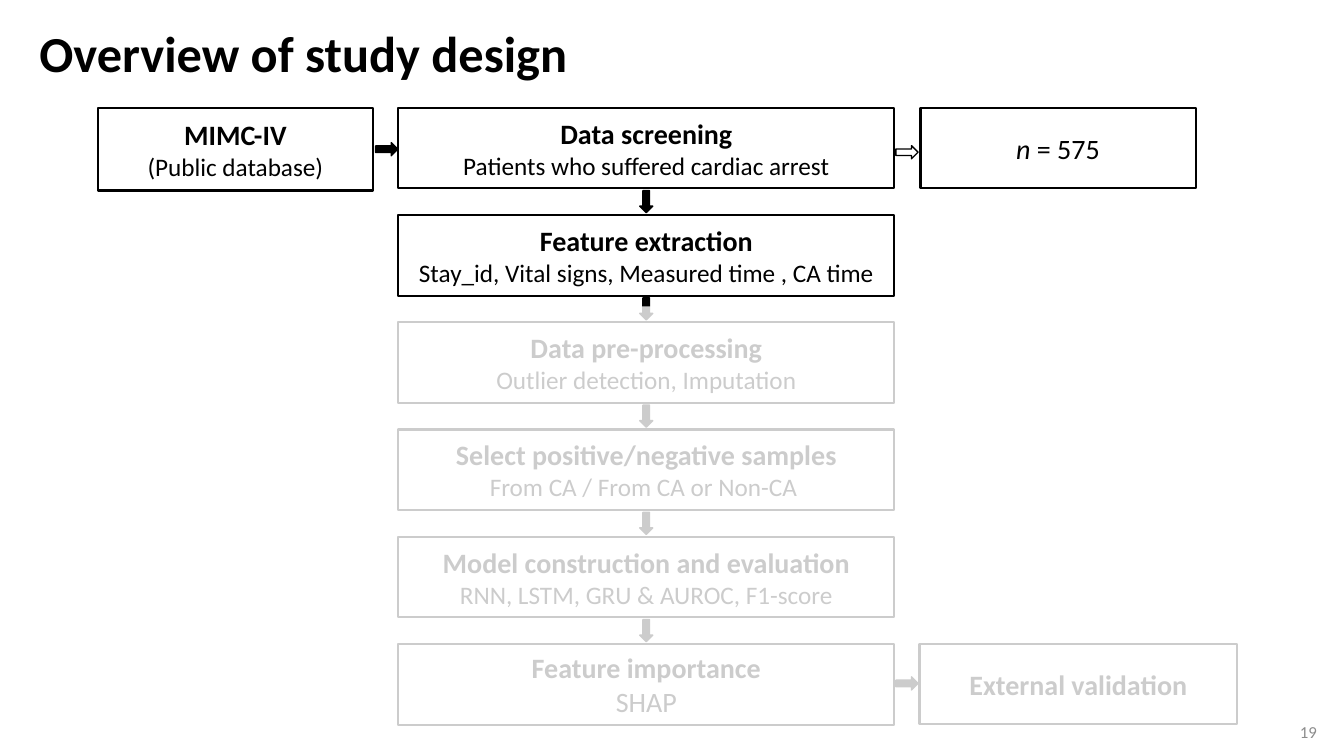
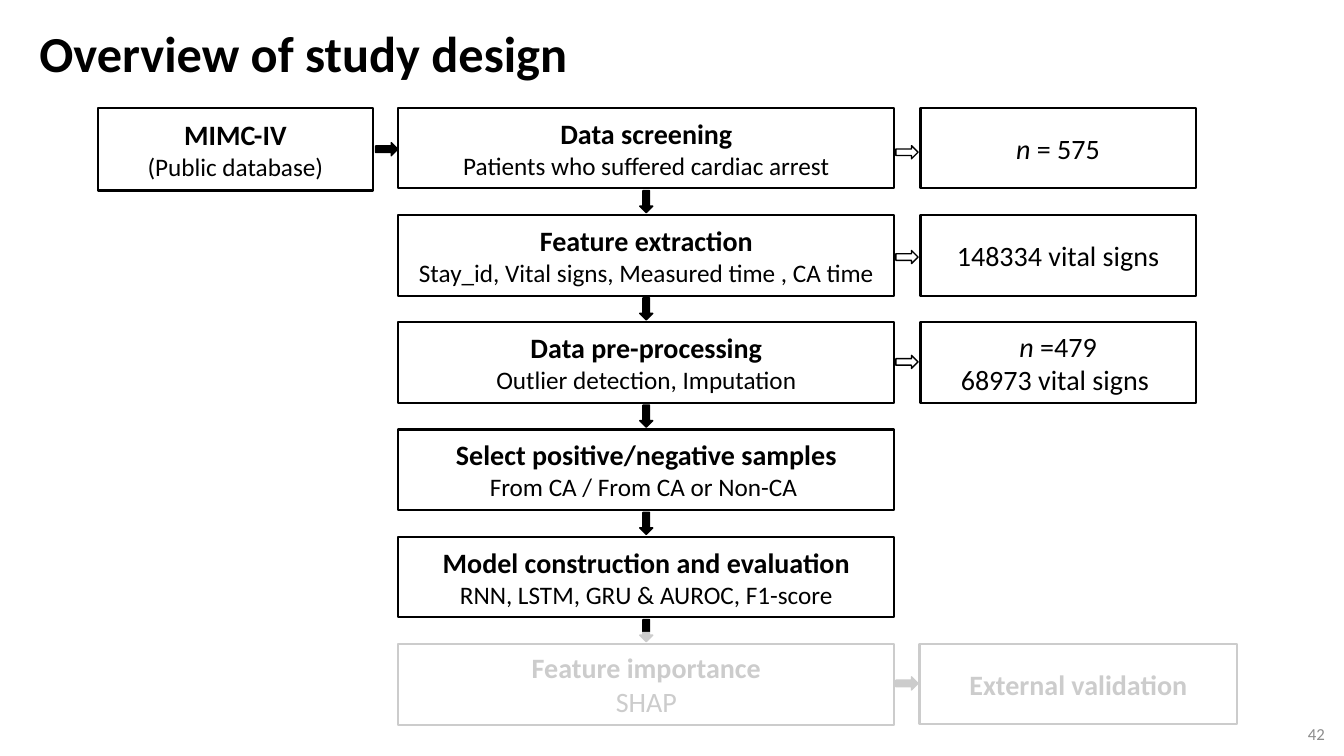
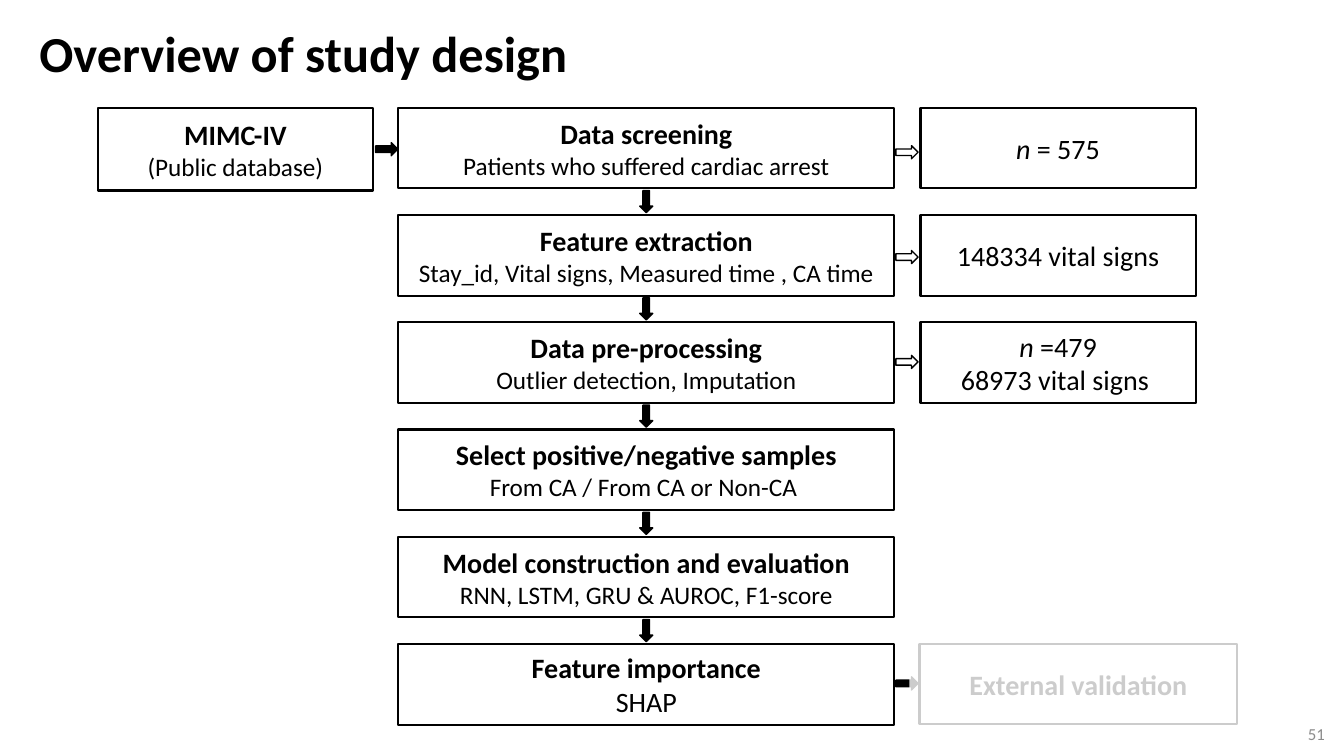
from dataclasses import dataclass

import lxml.etree
import pptx
import pptx.dml.color
import pptx.enum.shapes
import pptx.enum.text
import pptx.oxml.ns
import pptx.util

Inches = pptx.util.Inches
SHAPE = pptx.enum.shapes.MSO_SHAPE
ALIGN = pptx.enum.text.PP_ALIGN
ANCHOR = pptx.enum.text.MSO_ANCHOR

FONT = "Calibri"
BLACK = "000000"
WHITE = "FFFFFF"
GREY = "8C8C8C"
TITLE = "Overview of study design"

FIRST_TOP, LAST_TOP = 1.07, 6.39
BOX_H = 0.8
STAGE_LEFT, STAGE_W = 3.95, 4.92
RESULT_LEFT, RESULT_W = 9.13, 2.73
ARROW_W, ARROW_H = 0.13, 0.22
RIGHT_ARROW_LEFT = 8.93


@dataclass(frozen=True)
class Run:
    text: str
    size: int = 20
    bold: bool = False
    italic: bool = False


@dataclass(frozen=True)
class Box:
    left: float
    top: float
    width: float
    height: float


@dataclass(frozen=True)
class Page:
    number: str
    number_left: float
    number_top: float
    results: int
    veil: Box


Lines = list[list[Run]]


def stage(name: str, detail: str, size: int = 18) -> Lines:
    return [[Run(name, bold=True)], [Run(detail, size)]]


STAGES = [
    stage("Data screening", "Patients who suffered cardiac arrest"),
    stage("Feature extraction", "Stay_id, Vital signs, Measured time , CA time"),
    stage("Data pre-processing", "Outlier detection, Imputation"),
    stage("Select positive/negative samples", "From CA / From CA or Non-CA "),
    stage("Model construction and evaluation", "RNN, LSTM, GRU & AUROC, F1-score"),
    stage("Feature importance", "SHAP", 20),
]
STEP = (LAST_TOP - FIRST_TOP) / (len(STAGES) - 1)

RESULTS = [
    [[Run("n", italic=True), Run(" = 575")]],
    [[Run("148334 vital signs")]],
    [[Run("n", italic=True), Run(" =479")], [Run("68973 vital signs ")]],
]

PAGES = [
    Page("19", 10.16, 7.06, 1, Box(3.53, 3.04, 8.93, 4.26)),
    Page("42", 10.24, 7.08, 3, Box(3.73, 6.27, 8.73, 1.03)),
    Page("51", 10.24, 7.08, 3, Box(9.02, 6.27, 3.43, 1.03)),
]


def rgb(color: str) -> pptx.dml.color.RGBColor:
    return pptx.dml.color.RGBColor.from_string(color)


def lengths(box: Box) -> tuple:
    return tuple(Inches(v) for v in (box.left, box.top, box.width, box.height))


def write(p, text: str, *, size: int = 20, bold: bool = False,
          italic: bool = False, color: str = BLACK, align=ALIGN.CENTER) -> None:
    p.alignment = align
    r = p.add_run()
    r.text = text
    r.font.name = FONT
    r.font.size = pptx.util.Pt(size)
    r.font.bold = bold
    r.font.italic = italic
    r.font.color.rgb = rgb(color)


def add_shape(s, kind, box: Box, *, fill: str | None = None, line: float = 0):
    sp = s.shapes.add_shape(kind, *lengths(box))
    sp.shadow.inherit = False
    if fill:
        sp.fill.solid()
        sp.fill.fore_color.rgb = rgb(fill)
    else:
        sp.fill.background()
    if line:
        sp.line.color.rgb = rgb(BLACK)
        sp.line.width = pptx.util.Pt(line)
    else:
        sp.line.fill.background()
    return sp


def add_box(s, box: Box, lines: Lines) -> None:
    tf = add_shape(s, SHAPE.RECTANGLE, box, line=1.5).text_frame
    tf.word_wrap = True
    tf.vertical_anchor = ANCHOR.MIDDLE
    for i, runs in enumerate(lines):
        p = tf.add_paragraph() if i else tf.paragraphs[0]
        for run in runs:
            write(p, run.text, size=run.size, bold=run.bold, italic=run.italic)


def add_arrow(s, left: float, top: float, *, rotation: int = 0,
              fill: str | None = BLACK) -> None:
    box = Box(left, top, ARROW_W, ARROW_H)
    sp = add_shape(s, SHAPE.DOWN_ARROW, box, fill=fill, line=1)
    sp.rotation = rotation


def add_veil(s, box: Box) -> None:
    sp = add_shape(s, SHAPE.RECTANGLE, box, fill=WHITE)
    qn = pptx.oxml.ns.qn
    clr = sp.element.spPr.find(qn("a:solidFill")).find(qn("a:srgbClr"))
    lxml.etree.SubElement(clr, qn("a:alpha")).set("val", "80000")


def add_heading(s, page: Page) -> None:
    title = s.shapes.title
    title.left, title.top, title.width, title.height = lengths(Box(0.21, 0.17, 5.6, 0.71))
    tf = title.text_frame
    tf.word_wrap = True
    tf.vertical_anchor = ANCHOR.TOP
    write(tf.paragraphs[0], TITLE, size=36, bold=True)

    box = Box(page.number_left, page.number_top, 3, 0.4)
    tf = s.shapes.add_textbox(*lengths(box)).text_frame
    tf.word_wrap = True
    tf.vertical_anchor = ANCHOR.MIDDLE
    write(tf.paragraphs[0], page.number, size=12, color=GREY, align=ALIGN.RIGHT)


def add_page(prs, page: Page) -> None:
    s = prs.slides.add_slide(prs.slide_layouts[5])
    add_heading(s, page)

    add_box(s, Box(0.97, FIRST_TOP, RESULT_W, 0.82),
            stage("MIMC-IV", "(Public database)"))
    add_arrow(s, 3.77, 1.37, rotation=270)

    for i, lines in enumerate(STAGES):
        top = FIRST_TOP + i * STEP
        add_box(s, Box(STAGE_LEFT, top, STAGE_W, BOX_H), lines)
        if i < len(STAGES) - 1:
            add_arrow(s, STAGE_LEFT + (STAGE_W - ARROW_W) / 2, top + 0.82)

    for i, lines in enumerate(RESULTS[:page.results]):
        add_box(s, Box(RESULT_LEFT, FIRST_TOP + i * STEP, RESULT_W, BOX_H), lines)
        add_arrow(s, RIGHT_ARROW_LEFT, 1.4 + 1.04 * i, rotation=270, fill=None)

    add_arrow(s, RIGHT_ARROW_LEFT, 6.67, rotation=270)
    add_box(s, Box(9.12, LAST_TOP, 3.15, 0.79),
            [[Run("External validation", bold=True)]])
    add_veil(s, page.veil)


def main() -> None:
    prs = pptx.Presentation()
    prs.slide_width = Inches(13.33)
    prs.slide_height = Inches(7.5)
    for page in PAGES:
        add_page(prs, page)
    prs.save("out.pptx")


if __name__ == "__main__":
    main()
